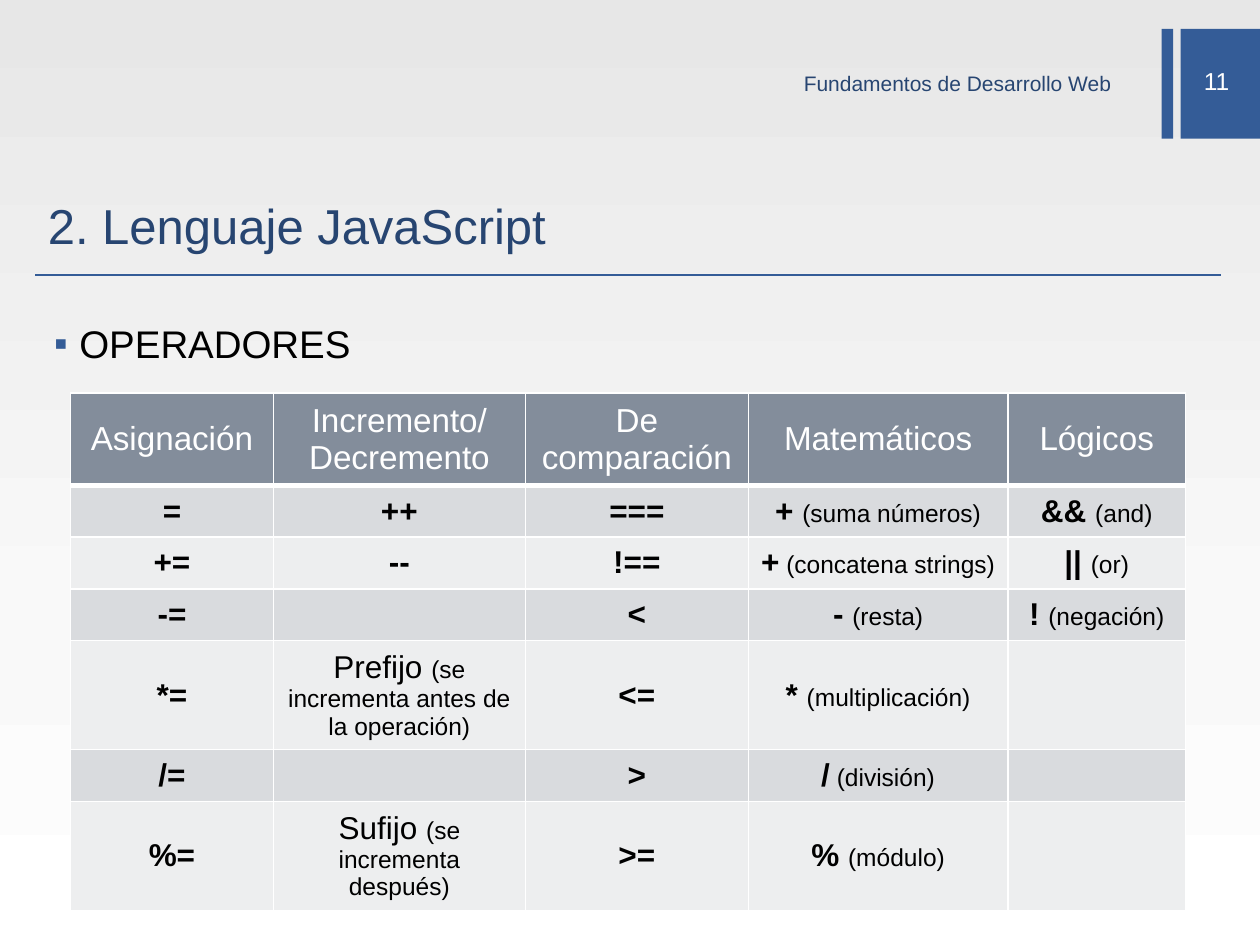
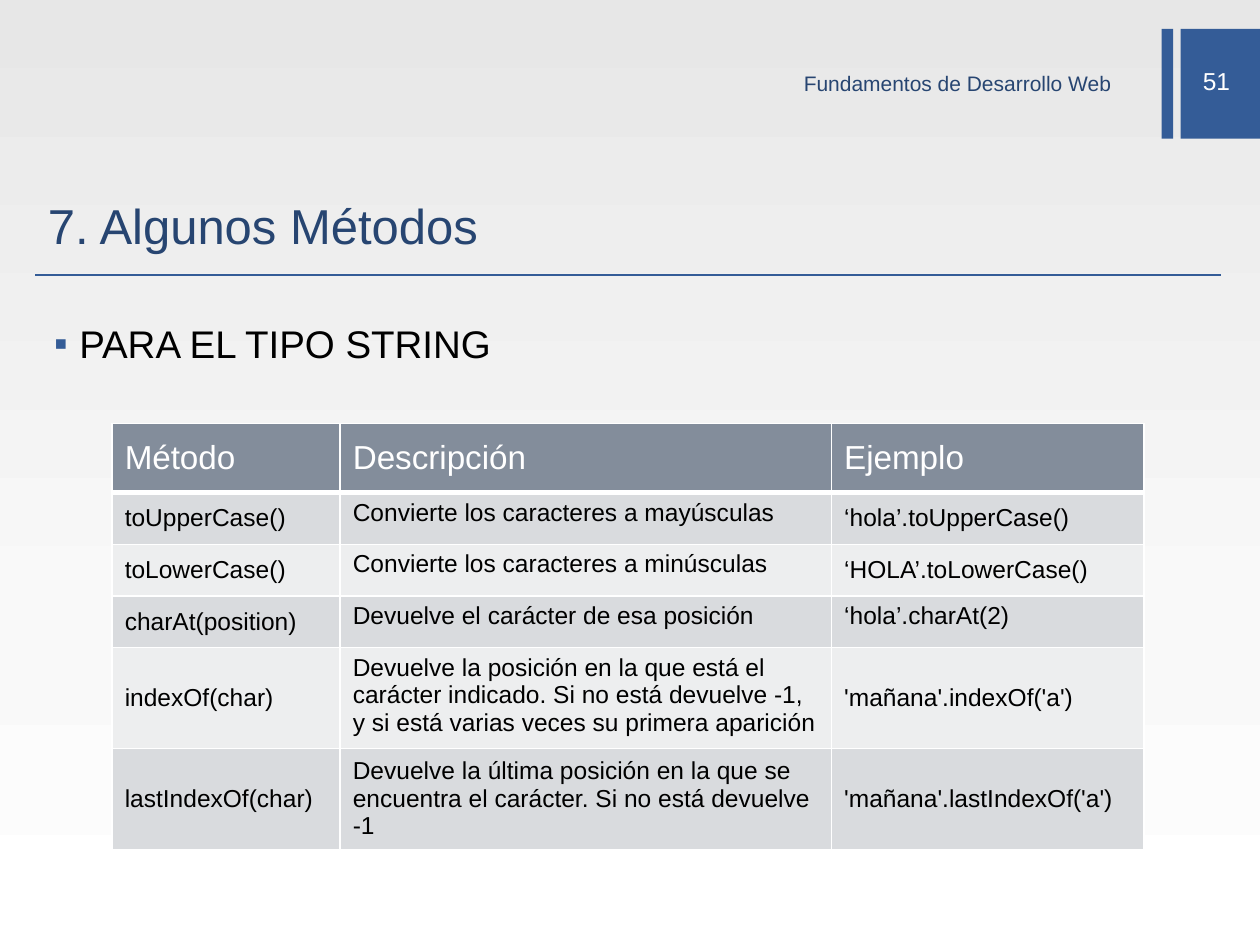
from collections import namedtuple
from copy import deepcopy

from lxml import etree
from pptx import Presentation
from pptx import util as u
from pptx.dml.color import RGBColor
from pptx.enum import shapes, text
from pptx.oxml import ns

BLUE = RGBColor(0x34, 0x5C, 0x97)
NAVY = RGBColor(0x27, 0x45, 0x71)
WHITE = RGBColor(0xFF, 0xFF, 0xFF)
BLACK = RGBColor(0x00, 0x00, 0x00)
HEADER_GREY = RGBColor(0x83, 0x8D, 0x9B)
BANDS = (RGBColor(0xD9, 0xDB, 0xDE), RGBColor(0xED, 0xEE, 0xEF))
BACKDROP = (
    (0, RGBColor(0xE7, 0xE7, 0xE7)),
    (0.65, RGBColor(0xF9, 0xF9, 0xF9)),
    (1, WHITE),
)
FONT = "Arial"
COURSE = "Fundamentos de Desarrollo Web"

SLIDE_WIDTH, SLIDE_HEIGHT = u.Inches(10), u.Inches(7.5)
GRID_COLUMNS = 100
CELL = SLIDE_WIDTH // GRID_COLUMNS

LEFT, CENTER, RIGHT = text.PP_ALIGN.LEFT, text.PP_ALIGN.CENTER, text.PP_ALIGN.RIGHT
TOP, MIDDLE = text.MSO_ANCHOR.TOP, text.MSO_ANCHOR.MIDDLE

Box = namedtuple("Box", "left top width height")
HEADER_BOX = Box(49.8, 2.3, 50.2, 8.7)
HEADING_BOX = Box(2.8, 13.9, 94.1, 7.9)
BODY_BOX = Box(2.8, 24.9, 94.1, 48.8)

OPERATOR_ROWS = [
    ["Asignación", "Incremento/ Decremento", "De comparación", "Matemáticos", "Lógicos"],
    ["=", "++", "===", ("+ ", "(suma números)"), ("&& ", "(and)")],
    ["+=", "--", "!==", ("+", " (concatena strings)"), ("|| ", "(or)")],
    ["-=", "", "<", ("- ", "(resta)"), ("! ", "(negación)")],
    ["*=", ("Prefijo ", "(se incrementa antes de la operación)"), "<=",
     ("* ", "(multiplicación)"), ""],
    ["/=", "", ">", ("/", " (división)"), ""],
    ["%=", ("Sufijo ", "(se incrementa después)"), ">=", ("% ", "(módulo)"), ""],
]
METHOD_ROWS = [
    ["Método", "Descripción", "Ejemplo"],
    ["toUpperCase()", "Convierte los caracteres a mayúsculas", "‘hola’.toUpperCase()"],
    ["toLowerCase()", "Convierte los caracteres a minúsculas", "‘HOLA’.toLowerCase()"],
    ["charAt(position)", "Devuelve el carácter de esa posición", "‘hola’.charAt(2)"],
    ["indexOf(char)",
     "Devuelve la posición en la que está el carácter indicado. "
     "Si no está devuelve -1, y si está varias veces su primera aparición",
     "'mañana'.indexOf('a')"],
    ["lastIndexOf(char)",
     "Devuelve la última posición en la que se encuentra el carácter. "
     "Si no está devuelve -1",
     "'mañana'.lastIndexOf('a')"],
]


def grid(amount):
    return u.Emu(round(amount * CELL))


def lengths(box):
    return [grid(amount) for amount in box]


def within(box, left, top, width, height):
    return Box(box.left + left, box.top + top, width, height)


def write(frame, *runs, size, color, align=LEFT, anchor=MIDDLE, bold=False):
    frame.word_wrap = True
    frame.vertical_anchor = anchor
    paragraph = frame.paragraphs[0]
    paragraph.alignment = align
    for content, changes in runs:
        run = paragraph.add_run()
        run.text = content
        run.font.name = FONT
        run.font.size = u.Pt(changes.get("size", size))
        run.font.bold = changes.get("bold", bold)
        run.font.color.rgb = color
    return paragraph


def place(shape, box):
    shape.left, shape.top, shape.width, shape.height = lengths(box)


def set_backdrop(master):
    fill = master.background.fill
    fill.gradient()
    fill.gradient_angle = 270
    stop_list = master.element.find(".//" + ns.qn("a:gsLst"))
    stop_list.append(deepcopy(stop_list[-1]))
    for stop, (position, color) in zip(fill.gradient_stops, BACKDROP):
        stop.position = position
        stop.color.rgb = color


def add_label(slide, box, content, **style):
    frame = slide.shapes.add_textbox(*lengths(box)).text_frame
    write(frame, (content, {}), **style)
    return frame


def add_header(slide, box, number):
    for left, width in ((42.4, 0.9), (43.9, 6.3)):
        bar = slide.shapes.add_shape(
            shapes.MSO_SHAPE.RECTANGLE, *lengths(within(box, left, 0, width, box.height)))
        bar.shadow.inherit = False
        bar.fill.solid()
        bar.fill.fore_color.rgb = BLUE
        bar.line.fill.background()
    add_label(slide, within(box, 43.5, 2.1, 6.5, 4), str(number),
              size=14, color=WHITE, align=CENTER)
    course = add_label(slide, within(box, 0, 2.9, 39.4, 3.3), COURSE,
                       size=12, color=NAVY, align=RIGHT)
    course.margin_top = 0


def add_heading(slide, box, content):
    title = slide.shapes.title
    place(title, box)
    title.text_frame.auto_size = text.MSO_AUTO_SIZE.NONE
    write(title.text_frame, (content, {}), size=28, color=NAVY)
    bottom = grid(box.top + box.height)
    rule = slide.shapes.add_connector(
        shapes.MSO_CONNECTOR.STRAIGHT, grid(box.left), bottom,
        grid(box.left + box.width), bottom)
    rule.line.color.rgb = BLUE
    rule.line.width = u.Pt(1)
    etree.SubElement(rule.element.spPr, ns.qn("a:effectLst"))


def add_topic(slide, box, content):
    body = slide.placeholders[1]
    place(body, box)
    body.text_frame.auto_size = text.MSO_AUTO_SIZE.NONE
    paragraph = write(body.text_frame, (content, {}), size=22, color=BLACK, anchor=TOP)
    properties = paragraph._p.get_or_add_pPr()
    properties.set("marL", str(grid(2.5)))
    properties.set("indent", str(grid(-2)))
    bullet_color = etree.SubElement(properties, ns.qn("a:buClr"))
    etree.SubElement(bullet_color, ns.qn("a:srgbClr"), val=str(BLUE))
    etree.SubElement(properties, ns.qn("a:buFont"), typeface=FONT)
    etree.SubElement(properties, ns.qn("a:buChar"), char="▪")
    paragraph.space_before = u.Pt(4.4)


def set_borders(cell, **widths):
    properties = cell._tc.get_or_add_tcPr()
    for side in "LRTB":
        line = etree.SubElement(
            properties, ns.qn("a:ln" + side), w=str(u.Pt(widths.get(side, 1))))
        fill = etree.SubElement(line, ns.qn("a:solidFill"))
        etree.SubElement(fill, ns.qn("a:srgbClr"), val=str(WHITE))


def operator_runs(content):
    symbol, note = content if isinstance(content, tuple) else (content, "")
    runs = [(symbol, {"bold": not symbol.strip().isalpha()}), (note, {"size": 14})]
    return [run for run in runs if run[0]]


def plain_runs(content):
    return [(content, {})]


def add_table(slide, box, rows, columns, heights, make_runs, size, align, top_cells=()):
    frame = slide.shapes.add_table(len(rows), len(columns), *lengths(box))
    table = frame.table
    for column, width in zip(table.columns, columns):
        column.width = grid(width)
    for row, height in zip(table.rows, heights):
        row.height = grid(height)
    for row_index, row in enumerate(rows):
        heading = row_index == 0
        edges = {0: {"B": 3}, 1: {"T": 3}}.get(row_index, {})
        for column_index, content in enumerate(row):
            cell = table.cell(row_index, column_index)
            set_borders(cell, **edges)
            cell.fill.solid()
            cell.fill.fore_color.rgb = HEADER_GREY if heading else BANDS[(row_index - 1) % 2]
            runs = plain_runs(content) if heading else make_runs(content)
            write(cell.text_frame, *runs, size=19 if heading else size,
                  color=WHITE if heading else BLACK, align=align)
            cell.vertical_anchor = TOP if (row_index, column_index) in top_cells else MIDDLE


def add_table_slide(presentation, number, heading, topic, offset, columns, heights, **table):
    slide = presentation.slides.add_slide(presentation.slide_layouts[1])
    add_header(slide, HEADER_BOX, number)
    add_heading(slide, HEADING_BOX, heading)
    add_topic(slide, BODY_BOX, topic)
    table_box = within(BODY_BOX, *offset, sum(columns), sum(heights))
    add_table(slide, table_box, columns=columns, heights=heights, **table)


def main():
    presentation = Presentation()
    presentation.slide_width, presentation.slide_height = SLIDE_WIDTH, SLIDE_HEIGHT
    set_backdrop(presentation.slide_master)
    add_table_slide(
        presentation, 11, "2. Lenguaje JavaScript", "OPERADORES", offset=(2.8, 6.3),
        columns=(16.1, 20, 17.7, 20.6, 14.1),
        heights=(6.9, 4.1, 4.1, 4.1, 8.2, 4.1, 8.2),
        rows=OPERATOR_ROWS, make_runs=operator_runs, size=18, align=CENTER)
    description_cells = {(row, 1) for row in range(1, 5)}
    add_table_slide(
        presentation, 51, "7. Algunos Métodos", "PARA EL TIPO STRING", offset=(6.1, 8.7),
        columns=(18.1, 39, 24.8),
        heights=(5.5, 4.1, 4.1, 4.1, 7.6, 7.6),
        rows=METHOD_ROWS, make_runs=plain_runs, size=14, align=LEFT,
        top_cells=description_cells | {(3, 2)})
    presentation.save("out.pptx")


if __name__ == "__main__":
    main()
